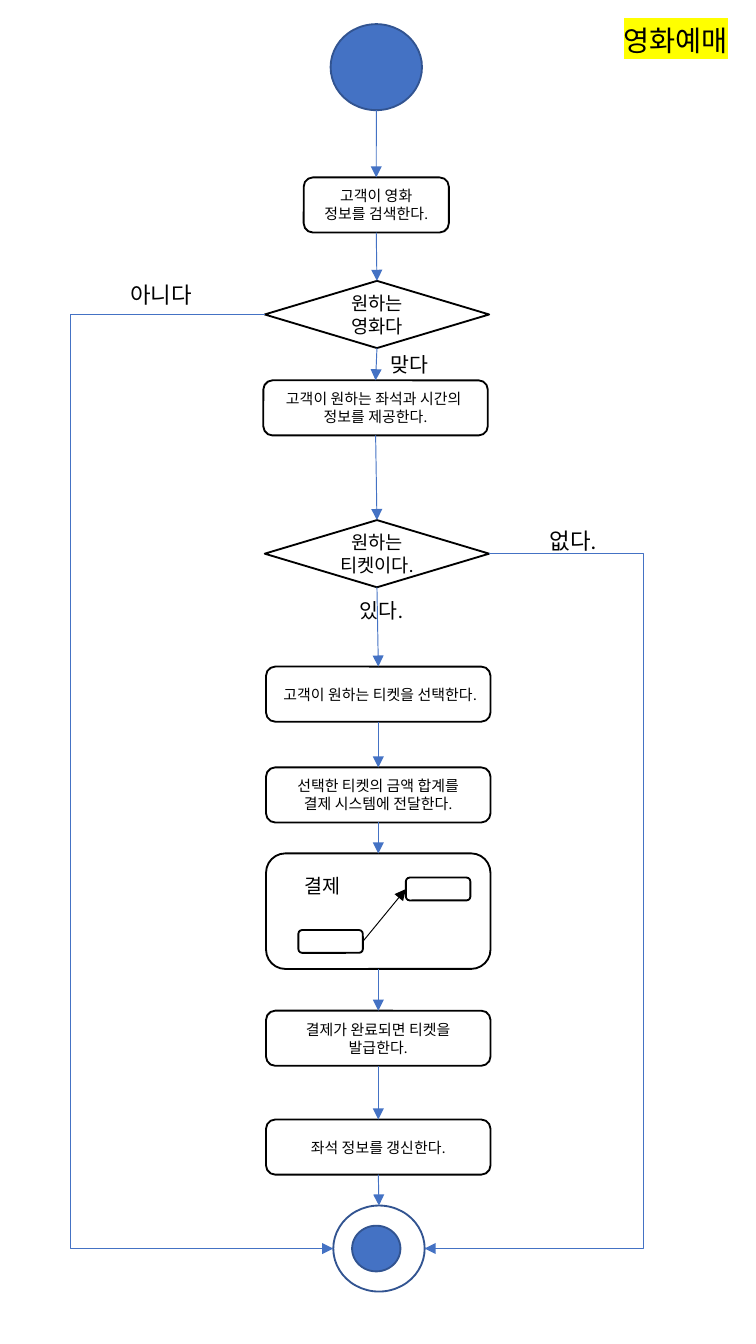
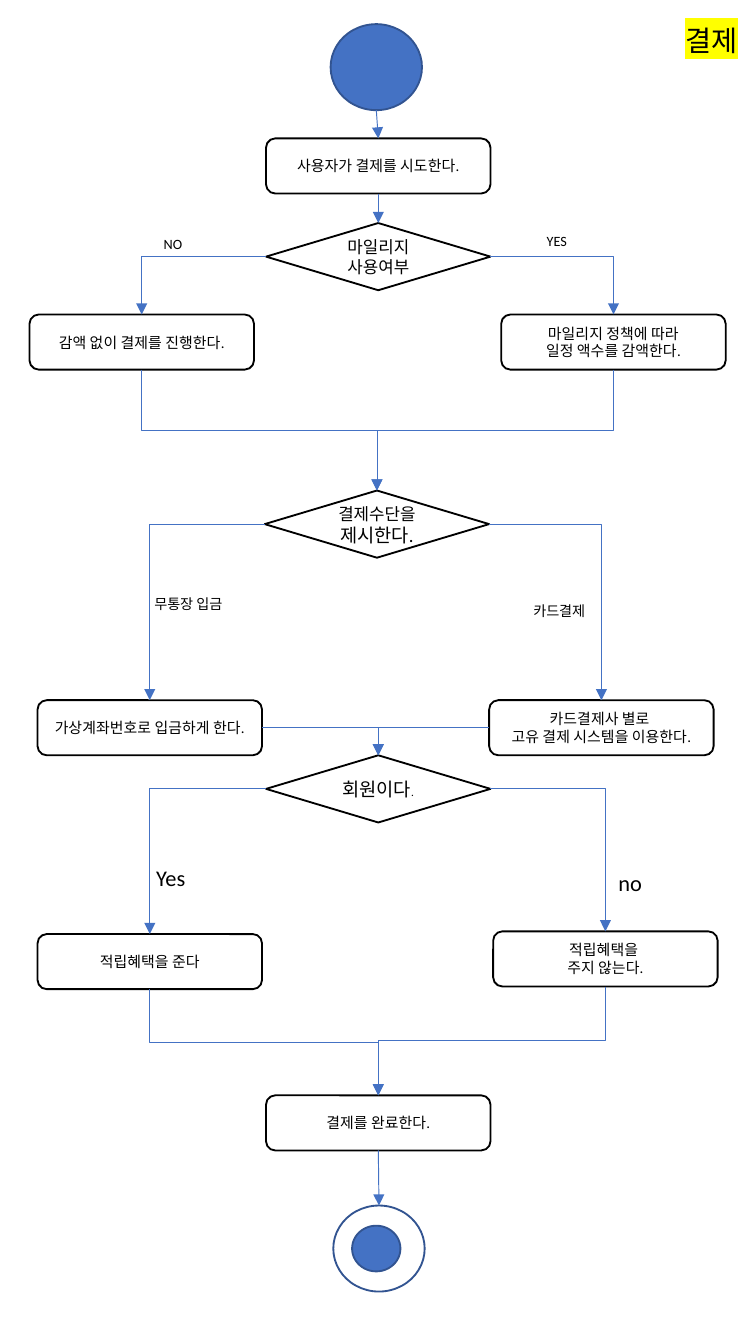
from lxml.etree import SubElement
from pptx import Presentation
from pptx.dml.color import RGBColor
from pptx.enum.shapes import MSO_CONNECTOR, MSO_SHAPE
from pptx.enum.text import MSO_ANCHOR, MSO_AUTO_SIZE, PP_ALIGN
from pptx.oxml.ns import qn
from pptx.util import Inches, Pt

# Shared look
COLORS = {"blue": "4472C4", "navy": "325491", "black": "000000",
          "white": "FFFFFF", "yellow": "FFFF00"}
FONT = "Calibri"
STEP_W, STEP_H, CHOICE_H = 1.67, 0.41, 0.5
CIRCLE = (0.68, 0.64)
KINDS = {"step": (MSO_SHAPE.ROUNDED_RECTANGLE, STEP_W, STEP_H, 8),
         "short": (MSO_SHAPE.ROUNDED_RECTANGLE, 1.08, STEP_H, 8),
         "choice": (MSO_SHAPE.FLOWCHART_DECISION, STEP_W, CHOICE_H, 10)}

# Nodes: key: (kind, left, top, paragraphs); a paragraph is text or (text, size) runs
# Straight arrows: chains of keys. Branches go sideways, then down.
# Joins go down, across, down. Loops go sideways to a column at x, then back.
# Labels: text runs, left, top, width, height
BOOKING = {
    "title": ("영화예매", 4.54, 1.06),
    "nodes": {
        "search": ("short", 2.26, 1.32, ["고객이 영화 정보를 검색한다."]),
        "movie": ("choice", 1.97, 2.09, ["원하는 영화다"]),
        "offer": ("step", 1.96, 2.83, ["고객이 원하는 좌석과 시간의 ", "정보를 제공한다."]),
        "ticket": ("choice", 1.97, 3.87, ["원하는 티켓이다."]),
        "select": ("step", 1.98, 4.96, ["고객이 원하는 티켓을 선택한다."]),
        "total": ("step", 1.98, 5.71, ["선택한 티켓의 금액 합계를 결제 시스템에 전달한다."]),
        "issue": ("step", 1.98, 7.52, ["결제가 완료되면 티켓을 발급한다."]),
        "update": ("step", 1.98, 8.33, ["좌석 정보를 갱신한다."]),
    },
    "chains": [["start", "search", "movie", "offer", "ticket", "select", "total",
                "payment", "issue", "update", "end"]],
    "branches": [],
    "joins": [],
    "loops": [("movie", "end", 0.52), ("ticket", "end", 4.79)],
    "labels": [
        ([("아니다", 12)], 0.87, 2.04, 0.71, 0.3),
        ([("맞다", 11)], 2.81, 2.57, 0.51, 0.29),
        ([("없다.", 12)], 3.99, 3.87, 0.58, 0.3),
        ([("있다.", 11)], 2.58, 4.4, 0.55, 0.29),
    ],
    "payment": {"frame": (1.98, 6.35, STEP_W, 0.86),
                "upper": (3.02, 6.53, 0.48, 0.17),
                "lower": (2.22, 6.92, 0.48, 0.17),
                "label": ([("결제", 10.5)], 2.17, 6.45, 0.65, 0.28)},
}
PAYMENT = {
    "title": ("결제", 5, 0.63),
    "nodes": {
        "try": ("step", 1.98, 1.03, ["사용자가 결제를 시도한다."]),
        "mileage": ("choice", 1.98, 1.66, [[("마일리지 사용여부", 9)]]),
        "full": ("step", 0.22, 2.34, ["감액 없이 결제를 진행한다."]),
        "reduced": ("step", 3.73, 2.34, ["마일리지 정책에 따라", "일정 액수를 감액한다."]),
        "method": ("choice", 1.97, 3.65, [[("결제수단을", 9), (" 제시한다.", 10)]]),
        "transfer": ("step", 0.28, 5.21, ["가상계좌번호로 입금하게 한다."]),
        "card": ("step", 3.64, 5.21, ["카드결제사 별로 ", "고유 결제 시스템을 이용한다."]),
        "member": ("choice", 1.98, 5.62, [[("회원이다", 10), (".", 6)]]),
        "reward": ("step", 0.28, 6.95, ["적립혜택을 준다"]),
        "no reward": ("step", 3.67, 6.93, ["적립혜택을 ", "주지 않는다."]),
        "done": ("step", 1.98, 8.15, ["결제를 완료한다."]),
    },
    "chains": [["start", "try", "mileage"], ["done", "end"]],
    "branches": [("mileage", "full"), ("mileage", "reduced"),
                 ("method", "transfer"), ("method", "card"),
                 ("transfer", "member"), ("card", "member"),
                 ("member", "reward"), ("member", "no reward")],
    "joins": [("full", "method"), ("reduced", "method"),
              ("reward", "done"), ("no reward", "done")],
    "loops": [],
    "labels": [
        ([("NO", 7.6)], 1.12, 1.7, 0.34, 0.23),
        ([("YES", 7.6)], 3.97, 1.68, 0.36, 0.23),
        ([("무통장 입금", 7.6)], 1.05, 4.38, 0.77, 0.23),
        ([("카드결제", 7.6)], 3.87, 4.43, 0.63, 0.23),
        ([(" ", 7.6), ("Yes", 12)], 1.04, 6.38, 0.45, 0.3),
        ([(" ", 7.6), ("no", 12)], 4.48, 6.42, 0.4, 0.3),
    ],
}


def rgb(name):
    return RGBColor.from_string(COLORS[name])


def write(paragraph, runs):
    paragraph.font.name = FONT
    paragraph.font.color.rgb = rgb("black")
    for text, size in runs:
        run = paragraph.add_run()
        run.text = text
        run.font.size = Pt(size)


def add_outline(shapes, preset, box, fill="white", line="black"):
    shape = shapes.add_shape(preset, *map(Inches, box))
    shape.shadow.inherit = False
    shape.fill.solid()
    shape.fill.fore_color.rgb = rgb(fill)
    shape.line.color.rgb = rgb(line)
    shape.line.width = Pt(1)
    return shape


def add_node(shapes, kind, left, top, paragraphs):
    preset, width, height, size = KINDS[kind]
    node = add_outline(shapes, preset, (left, top, width, height))
    frame = node.text_frame
    frame.word_wrap = True
    frame.vertical_anchor = MSO_ANCHOR.MIDDLE
    for i, content in enumerate(paragraphs):
        paragraph = frame.add_paragraph() if i else frame.paragraphs[0]
        paragraph.alignment = PP_ALIGN.CENTER
        write(paragraph, [(content, size)] if isinstance(content, str) else content)
    return node


def add_label(shapes, runs, *box):
    label = shapes.add_textbox(*map(Inches, box))
    label.text_frame.word_wrap = False
    write(label.text_frame.paragraphs[0], runs)


def add_arrow(shapes, kind, begin, end, color="blue"):
    arrow = shapes.add_connector(kind, *map(int, (*begin, *end)))
    arrow.line.color.rgb = rgb(color)
    arrow.line.width = Pt(0.5)
    properties = arrow.element.spPr
    SubElement(properties.find(qn("a:ln")), qn("a:tailEnd"), type="triangle")
    SubElement(properties, qn("a:effectLst"))
    return arrow


# Points on a node
def middle(node):
    return node.left + node.width / 2


def top(node):
    return middle(node), node.top


def bottom(node):
    return middle(node), node.top + node.height


def side(node, toward_x):
    x = node.left if toward_x < middle(node) else node.left + node.width
    return x, node.top + node.height / 2


def add_branch(shapes, source, target):
    arrow = add_arrow(shapes, MSO_CONNECTOR.ELBOW,
                      side(source, middle(target)), top(target))
    arrow.element.spPr.find(qn("a:prstGeom")).set("prst", "bentConnector2")


def add_join(shapes, source, target):
    # An elbow lying on its side, turned a quarter about its centre
    (x0, y0), (x1, y1) = bottom(source), top(target)
    cx, cy, dx, dy = (x0 + x1) / 2, (y0 + y1) / 2, (x1 - x0) / 2, (y1 - y0) / 2
    arrow = add_arrow(shapes, MSO_CONNECTOR.ELBOW, (cx - dy, cy + dx), (cx + dy, cy - dx))
    arrow.element.spPr.find(qn("a:xfrm")).set("rot", str(90 * 60000))


def add_loop(shapes, source, target, column):
    x = Inches(column)
    begin, end = side(source, x), side(target, x)
    arrow = add_arrow(shapes, MSO_CONNECTOR.ELBOW, begin, end)
    bend = round((x - begin[0]) / (end[0] - begin[0]) * 100000)
    guides = arrow.element.spPr.find(qn("a:prstGeom")).find(qn("a:avLst"))
    SubElement(guides, qn("a:gd"), name="adj1", fmla=f"val {bend}")


def add_title(slide, text, left, width):
    title = slide.shapes.title
    title.left, title.top, title.width, title.height = map(Inches, (left, 0.12, width, 0.36))
    frame = title.text_frame
    frame.word_wrap = False
    frame.auto_size = MSO_AUTO_SIZE.NONE
    frame.vertical_anchor = MSO_ANCHOR.TOP
    paragraph = frame.paragraphs[0]
    paragraph.alignment = PP_ALIGN.LEFT
    write(paragraph, [(text, 15.2)])
    run_properties = next(title.element.iter(qn("a:rPr")))
    highlight = SubElement(run_properties, qn("a:highlight"))
    SubElement(highlight, qn("a:srgbClr"), val=COLORS["yellow"])


def add_payment(shapes, frame, upper, lower, label):
    group = shapes.add_group_shape().shapes
    outer, high, low = (add_outline(group, MSO_SHAPE.ROUNDED_RECTANGLE, box)
                        for box in (frame, upper, lower))
    add_arrow(group, MSO_CONNECTOR.STRAIGHT, side(low, middle(high)),
              side(high, middle(low)), "black")
    add_label(group, *label)
    return outer


def build(deck, flow):
    slide = deck.slides.add_slide(deck.slide_layouts[5])
    shapes = slide.shapes
    add_title(slide, *flow["title"])

    # Start and end marks
    nodes = {
        "start": add_outline(shapes, MSO_SHAPE.OVAL, (2.46, 0.18, *CIRCLE), "blue", "navy"),
        "end": add_outline(shapes, MSO_SHAPE.OVAL, (2.48, 8.97, *CIRCLE), "white", "navy"),
    }
    add_outline(shapes, MSO_SHAPE.OVAL, (2.62, 9.12, 0.36, 0.34), "blue", "navy")

    # Steps and decisions
    for key, node in flow["nodes"].items():
        nodes[key] = add_node(shapes, *node)
    if "payment" in flow:
        nodes["payment"] = add_payment(shapes, **flow["payment"])

    # Arrows
    for chain in flow["chains"]:
        for source, target in zip(chain, chain[1:]):
            add_arrow(shapes, MSO_CONNECTOR.STRAIGHT, bottom(nodes[source]), top(nodes[target]))
    for source, target in flow["branches"]:
        add_branch(shapes, nodes[source], nodes[target])
    for source, target in flow["joins"]:
        add_join(shapes, nodes[source], nodes[target])
    for source, target, column in flow["loops"]:
        add_loop(shapes, nodes[source], nodes[target], column)

    for label in flow["labels"]:
        add_label(shapes, *label)


# Portrait page, 9:16
deck = Presentation()
deck.slide_height = Inches(10)
deck.slide_width = deck.slide_height * 9 // 16
for flow in (BOOKING, PAYMENT):
    build(deck, flow)
deck.save("out.pptx")
